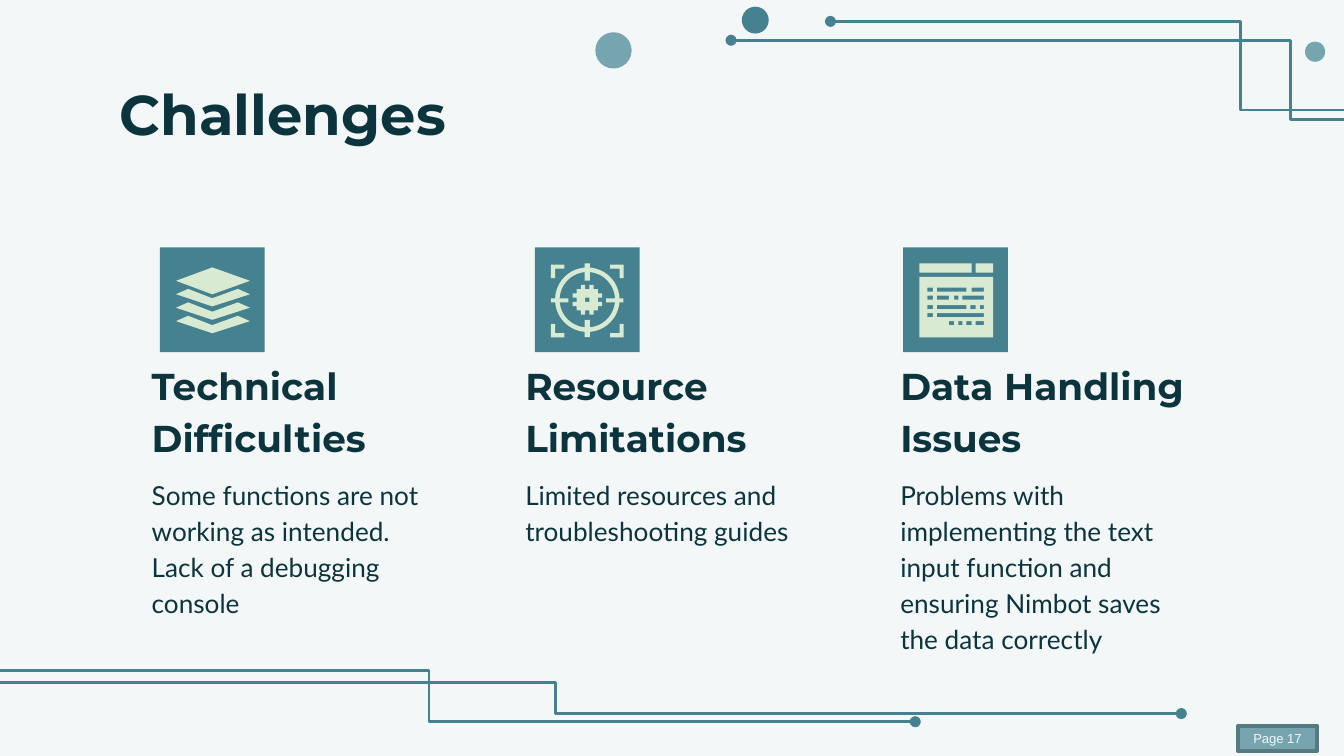
from lxml import etree
from pptx import Presentation
from pptx.dml.color import RGBColor
from pptx.enum.shapes import MSO_CONNECTOR, MSO_SHAPE
from pptx.enum.text import MSO_ANCHOR, MSO_AUTO_SIZE, PP_ALIGN
from pptx.oxml.ns import qn
from pptx.util import Inches, Pt

ELBOW = MSO_CONNECTOR.ELBOW
RECTANGLE, OVAL, DONUT = MSO_SHAPE.RECTANGLE, MSO_SHAPE.OVAL, MSO_SHAPE.DONUT
TOP, MIDDLE, BOTTOM = MSO_ANCHOR.TOP, MSO_ANCHOR.MIDDLE, MSO_ANCHOR.BOTTOM
LEFT, CENTER = PP_ALIGN.LEFT, PP_ALIGN.CENTER
NO_AUTOFIT = MSO_AUTO_SIZE.NONE

COLORS = {name: RGBColor.from_string(value) for name, value in {
    "background": "F3F7F8",
    "ink": "0C343D",
    "teal": "45818E",
    "pale_teal": "76A5AF",
    "badge_border": "577A81",
    "icon": "D9EAD3",
}.items()}


def write_text(shape, text, *, size, font="Lato", color="ink", bold=False,
               anchor=TOP, align=LEFT, spacing=1.0, inset=0.1):
    """Fill a shape with text, one paragraph per line."""
    frame = shape.text_frame
    frame.word_wrap = True
    frame.auto_size = NO_AUTOFIT
    frame.vertical_anchor = anchor
    frame.margin_left = frame.margin_right = Inches(0.1)
    frame.margin_top = frame.margin_bottom = Inches(inset)
    frame.text = text
    for para in frame.paragraphs:
        para.alignment = align
        para.line_spacing = spacing
        for span in para.runs:
            span.font.name = font
            span.font.size = Pt(size)
            span.font.bold = bold
            span.font.color.rgb = COLORS[color]


def add_icon_part(*contours):
    """Draw closed contours, in inches, as one shape; inner ones are holes."""
    builder = None
    for contour in contours:
        points = [(Inches(x), Inches(y)) for x, y in contour]
        if builder is None:
            builder = page.shapes.build_freeform(*points[0])
        else:
            builder.move_to(*points[0])
        builder.add_line_segments(points[1:], close=True)
    part = builder.convert_to_shape()
    part.shadow.inherit = False
    part.fill.solid()
    part.fill.fore_color.rgb = COLORS["icon"]
    part.line.fill.background()


deck = Presentation()
deck.slide_width = Inches(10)
deck.slide_height = Inches(10) * 9 // 16
page = deck.slides.add_slide(deck.slide_layouts[5])
page.background.fill.solid()
page.background.fill.fore_color.rgb = COLORS["background"]

# Circuit lines: start, end, x of the bend
circuits = [
    ((10.57, 0.89), (5.44, 0.3), 9.6),
    ((10.71, 0.82), (6.18, 0.16), 9.23),
    ((-0.54, 5.08), (8.79, 5.31), 4.13),
    ((-0.44, 4.99), (6.81, 5.37), 3.19),
]
for start, end, bend_x in circuits:
    circuit = page.shapes.add_connector(
        ELBOW, *(Inches(value) for value in start + end))
    circuit.line.color.rgb = COLORS["teal"]
    circuit.line.width = Pt(1.5)
    bend = (bend_x - start[0]) / (end[0] - start[0])
    properties = circuit._element.spPr
    guides = properties.find(qn("a:prstGeom")).get_or_add_avLst()
    etree.SubElement(guides, qn("a:gd"), name="adj1", fmla=f"val {round(bend * 100000)}")
    etree.SubElement(properties.find(qn("a:ln")), qn("a:tailEnd"), type="oval")
    etree.SubElement(properties, qn("a:effectLst"))

# Dots, icon tiles and the simple icon parts
plain_shapes = [
    (OVAL, "pale_teal", 4.43, 0.24, 0.27, 0.27),
    (OVAL, "teal", 5.52, 0.05, 0.2, 0.2),
    (OVAL, "pale_teal", 9.71, 0.31, 0.15, 0.15),
    *((RECTANGLE, "teal", x, 1.84, 0.78, 0.78) for x in (1.19, 3.98, 6.72)),
    (RECTANGLE, "icon", 6.84, 1.96, 0.39, 0.07),
    (RECTANGLE, "icon", 7.26, 1.96, 0.13, 0.07),
    (DONUT, "icon", 4.13, 1.99, 0.48, 0.48),
    *((RECTANGLE, "icon", 4.35, y, 0.04, 0.13) for y in (1.96, 2.38)),
    *((RECTANGLE, "icon", x, 2.22, 0.13, 0.03) for x in (4.1, 4.51)),
]
for kind, color, *place in plain_shapes:
    shape = page.shapes.add_shape(kind, *map(Inches, place))
    shape.shadow.inherit = False
    shape.fill.solid()
    shape.fill.fore_color.rgb = COLORS[color]
    shape.line.fill.background()
    if kind == DONUT:
        shape.adjustments[0] = 0.07

# Stack icon: a top sheet over three chevrons
add_icon_part([(1.58, 1.99), (1.31, 2.09), (1.58, 2.19), (1.86, 2.09)])
for layer in range(3):
    y = 2.15 + 0.1 * layer
    add_icon_part([(1.4, y), (1.31, y + 0.04), (1.58, y + 0.13),
                   (1.86, y + 0.04), (1.77, y), (1.58, y + 0.07)])

# Target icon: four corner brackets around a notched core
bracket = [(0.27, 0.27), (0.27, 0.17), (0.24, 0.17),
           (0.24, 0.24), (0.17, 0.24), (0.17, 0.27)]
for side_x in (-1, 1):
    for side_y in (-1, 1):
        add_icon_part([(4.37 + side_x * x, 2.24 + side_y * y) for x, y in bracket])

quarter = [(2, 0), (2, 1), (1, 1), (1, 2), (0, 2), (0, 3), (1, 3), (1, 4), (0, 4)]
core = []
for turn in range(4):
    core += quarter
    quarter = [(y, 7 - x) for x, y in quarter]
hole = [(3, 3), (4, 3), (4, 4), (3, 4)]
cell = 0.22 / 7
add_icon_part(*([(4.26 + x * cell, 2.12 + y * cell) for x, y in contour]
                for contour in (core, hole)))

# Window icon: a panel with rows of cut-out dashes
dash_rows = {
    2.14: [(6.9, 6.94), (6.97, 7.19), (7.23, 7.32)],
    2.2: [(6.9, 6.94), (6.97, 7.06), (7.1, 7.13), (7.16, 7.32)],
    2.27: [(6.9, 6.94), (6.97, 7.19), (7.22, 7.26), (7.29, 7.32)],
    2.33: [(6.9, 6.94), (6.97, 7.32)],
    2.39: [(7.06, 7.1), (7.13, 7.16), (7.19, 7.23), (7.26, 7.32)],
}
panel = [(6.84, 2.06), (6.84, 2.51), (7.39, 2.51), (7.39, 2.06)]
dashes = [[(x1, y), (x2, y), (x2, y + 0.03), (x1, y + 0.03)]
          for y, row in dash_rows.items() for x1, x2 in row]
add_icon_part(panel, *dashes)

# Title and the three columns
title = page.shapes.title
title.left, title.top = Inches(0.79), Inches(0.49)
title.width, title.height = Inches(8.43), Inches(0.63)
write_text(title, "Challenges", size=30, font="Montserrat", bold=True)

columns = [
    (1.03, "Technical Difficulties",
     "Some functions are not working as intended.\nLack of a debugging console"),
    (3.81, "Resource Limitations",
     "Limited resources and troubleshooting guides"),
    (6.6, "Data Handling Issues",
     "Problems with implementing the text input function and "
     "ensuring Nimbot saves the data correctly"),
]
for x, heading, body in columns:
    box = page.shapes.add_textbox(Inches(x), Inches(3.43), Inches(2.38), Inches(0.94))
    write_text(box, body, size=14, spacing=1.15)
    box = page.shapes.add_textbox(Inches(x), Inches(3.09), Inches(2.38), Inches(0.43))
    write_text(box, heading, size=20, font="Montserrat", bold=True,
               anchor=BOTTOM, spacing=1.15)

# Page badge
badge = page.shapes.add_shape(
    RECTANGLE, Inches(9.21), Inches(5.4), Inches(0.59), Inches(0.19))
badge.shadow.inherit = False
badge.fill.solid()
badge.fill.fore_color.rgb = COLORS["pale_teal"]
badge.line.color.rgb = COLORS["badge_border"]
badge.line.width = Pt(2)
write_text(badge, "Page 17", size=7, font="Arial", color="background",
           anchor=MIDDLE, align=CENTER, inset=0.05)

deck.save("out.pptx")
